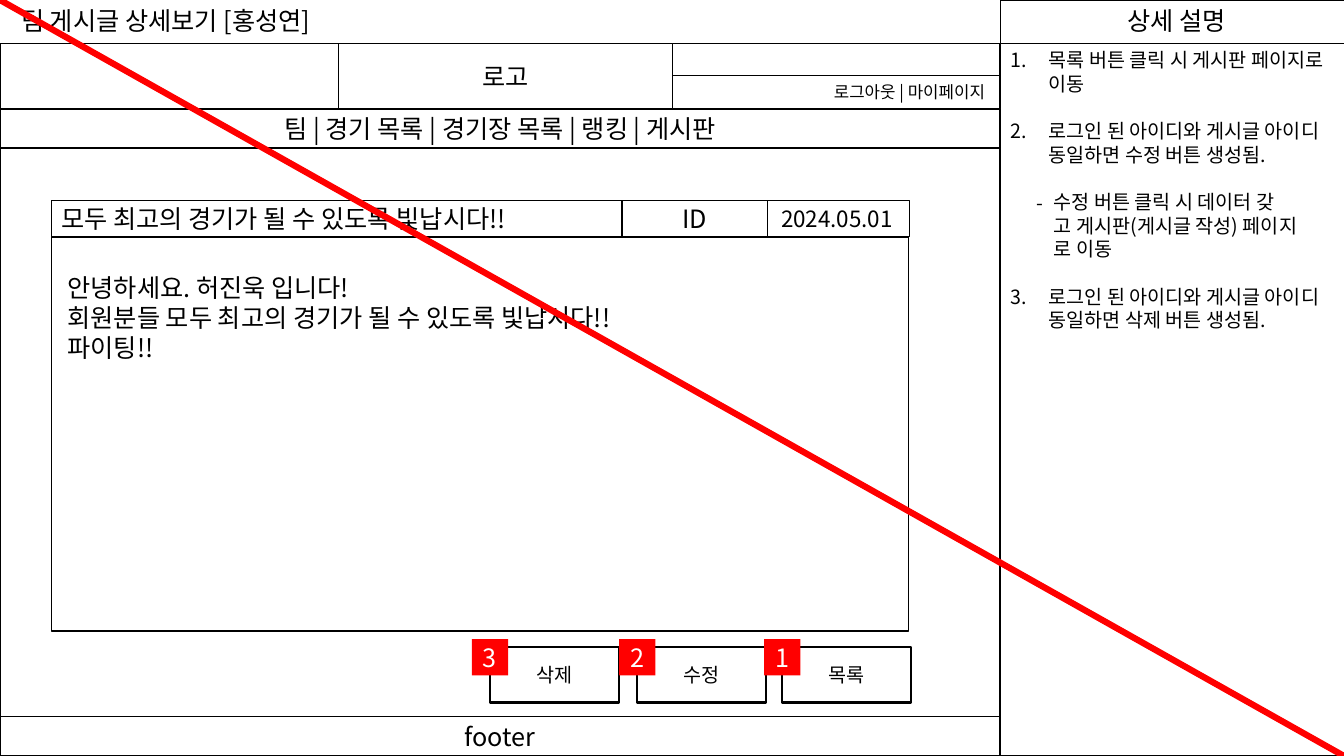
from dataclasses import dataclass
from typing import Optional

from lxml.etree import SubElement
from pptx import Presentation
from pptx.dml.color import RGBColor
from pptx.enum.shapes import MSO_CONNECTOR as Connector, MSO_SHAPE as Shape
from pptx.enum.text import MSO_ANCHOR as Anchor, MSO_AUTO_SIZE as AutoSize, PP_ALIGN as Align
from pptx.oxml.ns import qn
from pptx.util import Inches, Pt


@dataclass(frozen=True)
class Theme:
    font: str = "Noto Sans CJK KR"
    ink: RGBColor = RGBColor(0, 0, 0)
    paper: RGBColor = RGBColor(255, 255, 255)
    accent: RGBColor = RGBColor(255, 0, 0)
    heading: int = 18
    date: int = 16
    note: int = 14
    small: int = 12
    thin: float = 1
    thick: float = 1.5
    strike: float = 4.5


@dataclass(frozen=True)
class Box:
    left: float
    top: float
    width: float
    height: float
    text: str = ""
    size: int = Theme.heading
    align: Align = Align.CENTER
    anchor: Anchor = Anchor.MIDDLE
    line: Optional[float] = Theme.thin
    fill: RGBColor = Theme.paper
    color: RGBColor = Theme.ink
    margins: tuple = (0.1, 0.05, 0.1, 0.05)


@dataclass(frozen=True)
class Note:
    text: str
    number: Optional[int] = None


THEME = Theme()
SLIDE_WIDTH, SLIDE_HEIGHT = 13.33, 7.5
PAGE_WIDTH, PANEL_WIDTH = 9.92, 3.42
BAR = 0.43
POST_LEFT, POST_TOP, POST_WIDTH, POST_ROW = 0.51, 1.99, 8.5, 0.36

PANEL = [
    Box(PAGE_WIDTH, BAR, PANEL_WIDTH, SLIDE_HEIGHT - BAR),
    Box(PAGE_WIDTH, 0, PANEL_WIDTH, BAR),
]
PAGE = [
    Box(0, 1.08, PAGE_WIDTH, 6.03),
    Box(0, BAR, PAGE_WIDTH, 1.04),
    Box(3.36, BAR, 3.31, 0.65, "로고"),
    Box(0, 1.08, PAGE_WIDTH, 0.39, "팀 | 경기 목록 | 경기장 목록 | 랭킹 | 게시판"),
    Box(6.67, 0.75, 3.25, 0.33, "로그아웃 | 마이페이지", THEME.small, Align.RIGHT,
        margins=(0.1, 0.05, 0.15, 0.05)),
    Box(0, 7.11, PAGE_WIDTH, 0.39, "footer"),
]
POST = [
    Box(POST_LEFT, POST_TOP, POST_WIDTH, POST_ROW,
        "모두 최고의 경기가 될 수 있도록 빛납시다!!", align=Align.LEFT),
    Box(POST_LEFT, POST_TOP + POST_ROW, POST_WIDTH, 3.91,
        "안녕하세요. 허진욱 입니다!\n회원분들 모두 최고의 경기가 될 수 있도록 빛납시다!!\n파이팅!!",
        align=Align.LEFT, anchor=Anchor.TOP, margins=(0.16, 0.35, 0.1, 0.05)),
    Box(7.58, POST_TOP, 1.44, POST_ROW, "2024.05.01", THEME.date),
    Box(6.17, POST_TOP, 1.44, POST_ROW, "ID"),
]
BUTTONS = [(4.86, "삭제", "3"), (6.32, "수정", "2"), (7.76, "목록", "1")]
NOTES = [
    Note("목록 버튼 클릭 시 게시판 페이지로 이동", 1),
    Note("로그인 된 아이디와 게시글 아이디 동일하면 수정 버튼 생성됨.", 2),
    Note("수정 버튼 클릭 시 데이터 갖\v고 게시판(게시글 작성) 페이지\v로 이동"),
    Note("로그인 된 아이디와 게시글 아이디 동일하면 삭제 버튼 생성됨.", 3),
]


def write(paragraph, text: str, *, size: int = THEME.heading,
          color: RGBColor = THEME.ink, align: Align = Align.LEFT, before: float = 0) -> None:
    paragraph.text = text
    paragraph.alignment = align
    paragraph.space_before = Pt(before)
    for run in paragraph.runs:
        run.font.size = Pt(size)
        run.font.name = THEME.font
        run.font.color.rgb = color
        SubElement(run.font._element, qn("a:ea"), typeface=THEME.font)


def set_margins(frame, margins: tuple) -> None:
    (frame.margin_left, frame.margin_top,
     frame.margin_right, frame.margin_bottom) = map(Inches, margins)


def add_box(slide, box: Box) -> None:
    shape = slide.shapes.add_shape(
        Shape.RECTANGLE, *map(Inches, (box.left, box.top, box.width, box.height)))
    shape.shadow.inherit = False
    shape.fill.solid()
    shape.fill.fore_color.rgb = box.fill
    if box.line is None:
        shape.line.fill.background()
    else:
        shape.line.color.rgb = THEME.ink
        shape.line.width = Pt(box.line)
    if not box.text:
        return
    frame = shape.text_frame
    frame.vertical_anchor = box.anchor
    set_margins(frame, box.margins)
    for index, text in enumerate(box.text.split("\n")):
        paragraph = frame.add_paragraph() if index else frame.paragraphs[0]
        write(paragraph, text, size=box.size, color=box.color, align=box.align)


def place(shape, left: float, top: float, width: float, height: float, wrap: bool):
    """Position a text holder in front of the shapes drawn so far."""
    shape.left, shape.top, shape.width, shape.height = map(Inches, (left, top, width, height))
    frame = shape.text_frame
    frame.word_wrap = wrap
    frame.auto_size = AutoSize.SHAPE_TO_FIT_TEXT
    frame.vertical_anchor = Anchor.TOP
    set_margins(frame, Box.margins)
    shape.element.getparent().append(shape.element)
    return frame


def add_notes(frame) -> None:
    for index, note in enumerate(NOTES):
        paragraph = frame.add_paragraph() if index else frame.paragraphs[0]
        properties = paragraph._p.get_or_add_pPr()
        indent, hanging = (0.38, 0.38) if note.number else (0.43, 0.17)
        properties.set("marL", str(Inches(indent)))
        properties.set("indent", str(-Inches(hanging)))
        SubElement(properties, qn("a:buFont"), typeface=THEME.font)
        if note.number:
            SubElement(properties, qn("a:buAutoNum"), type="arabicPeriod",
                       startAt=str(note.number))
        else:
            SubElement(properties, qn("a:buChar"), char="-")
        write(paragraph, note.text, size=THEME.note, before=17 if index else 0)


def add_strike(slide) -> None:
    line = slide.shapes.add_connector(
        Connector.STRAIGHT, 0, 0, Inches(SLIDE_WIDTH), Inches(SLIDE_HEIGHT))
    line.line.color.rgb = THEME.accent
    line.line.width = Pt(THEME.strike)
    SubElement(line.element.spPr, qn("a:effectLst"))


def main() -> None:
    presentation = Presentation()
    presentation.slide_width = Inches(SLIDE_WIDTH)
    presentation.slide_height = Inches(SLIDE_HEIGHT)
    slide = presentation.slides.add_slide(presentation.slide_layouts[1])
    title, body = slide.placeholders

    # Frames of the page, the post and the side panel
    for box in PANEL + PAGE + POST:
        add_box(slide, box)

    # Buttons with their numbered markers
    for left, label, number in BUTTONS:
        add_box(slide, Box(left, 6.42, 1.28, 0.55, label, THEME.note, line=THEME.thick))
        add_box(slide, Box(left - 0.18, 6.34, 0.36, 0.36, number, line=None,
                           fill=THEME.accent, color=THEME.paper))

    # Title, panel heading and notes
    write(place(title, 0.11, 0, 3.4, 0.4, False).paragraphs[0], "팀 게시글 상세보기 [홍성연]")
    heading = slide.shapes.add_textbox(0, 0, 0, 0)
    write(place(heading, 11.08, 0, 1.3, 0.4, False).paragraphs[0], "상세 설명")
    add_notes(place(body, PAGE_WIDTH, BAR, 3.41, 2.93, True))

    # Diagonal strike across the slide
    add_strike(slide)
    presentation.save("out.pptx")


if __name__ == "__main__":
    main()
